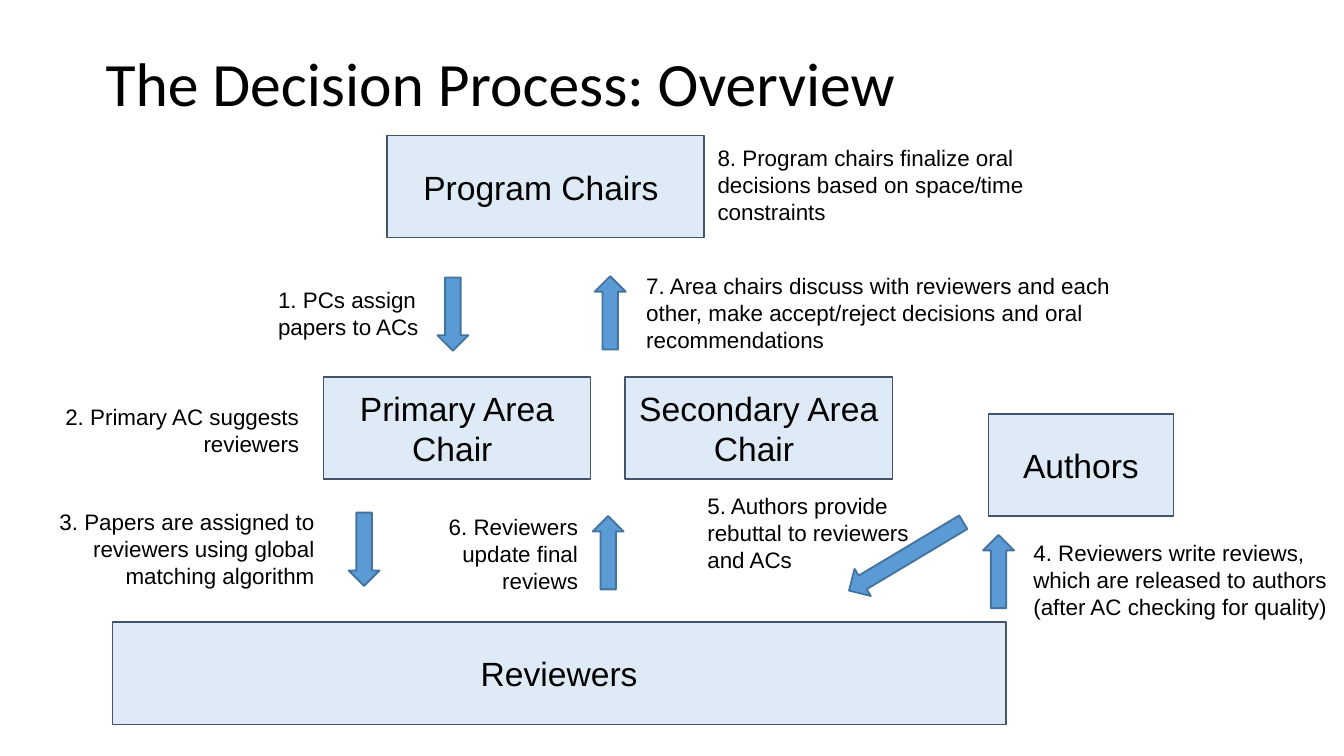
import dataclasses
import typing

import pptx
import pptx.dml.color
import pptx.enum.shapes
import pptx.enum.text
import pptx.util

PX = 4572

Kind = pptx.enum.shapes.MSO_SHAPE
Align = pptx.enum.text.PP_ALIGN
Anchor = pptx.enum.text.MSO_ANCHOR
Fit = pptx.enum.text.MSO_AUTO_SIZE


@dataclasses.dataclass(frozen=True)
class Theme:
    ink: str = "000000"
    pale: str = "DEEBF7"
    edge: str = "44546A"
    blue: str = "5B9BD5"
    rim: str = "43739E"
    head: str = "Calibri"
    body: str = "Arial"
    big: int = 33
    mid: int = 18
    small: int = 12


class Box(typing.NamedTuple):
    text: str
    x: int
    y: int
    w: int
    h: int = 152


class Note(typing.NamedTuple):
    text: str
    x: int
    y: int
    w: int
    h: int = 142
    align: Align = Align.LEFT


class Arrow(typing.NamedTuple):
    x: int
    y: int
    turn: float = 0
    w: int = 46
    h: int = 109


THEME = Theme()
UP = 180

BOXES = [
    Box("Reviewers", 167, 926, 1330),
    Box("Primary Area Chair ", 481, 561, 398),
    Box("Secondary Area Chair ", 930, 561, 398),
    Box("Program Chairs ", 576, 202, 472),
    Box("Authors", 1471, 616, 275),
]

ARROWS = [
    Arrow(651, 413),
    Arrow(519, 763),
    Arrow(1463, 796, UP),
    Arrow(882, 768, UP),
    Arrow(885, 411, UP),
    Arrow(1325, 729, 59.1, 47, 198),
]

NOTES = [
    Note("1. PCs assign papers to ACs", 394, 416, 258, 100),
    Note("2. Primary AC suggests reviewers", 27, 590, 438, 100, Align.RIGHT),
    Note("3. Papers are assigned to reviewers using global matching algorithm",
         -12, 746, 500, align=Align.RIGHT),
    Note("4. Reviewers write reviews, which are released to authors "
         "(after AC checking for quality)", 1518, 793, 482),
    Note("5. Authors provide rebuttal to reviewers and ACs", 1033, 723, 400),
    Note("6. Reviewers update final reviews", 626, 754, 254, align=Align.RIGHT),
    Note("7. Area chairs discuss with reviewers and each other, "
         "make accept/reject decisions and oral recommendations", 942, 395, 738),
    Note("8. Program chairs finalize oral decisions based on space/time "
         "constraints", 1048, 205, 618),
]


def px(*nums: int) -> list[pptx.util.Emu]:
    return [pptx.util.Emu(n * PX) for n in nums]


def tint(code: str) -> pptx.dml.color.RGBColor:
    return pptx.dml.color.RGBColor.from_string(code)


def write(shape, text: str, font: str, size: int, align: Align,
          anchor: Anchor, pad: int) -> None:
    frame = shape.text_frame
    frame.text = text
    frame.word_wrap = True
    frame.auto_size = Fit.NONE
    frame.vertical_anchor = anchor
    frame.margin_left, frame.margin_right = px(20, 20)
    frame.margin_top, frame.margin_bottom = px(pad, pad)
    for par in frame.paragraphs:
        par.alignment = align
        for run in par.runs:
            run.font.name = font
            run.font.size = pptx.util.Pt(size)
            run.font.color.rgb = tint(THEME.ink)


def paint(shape, fill: str, line: str, width: float) -> None:
    shape.shadow.inherit = False
    shape.fill.solid()
    shape.fill.fore_color.rgb = tint(fill)
    shape.line.color.rgb = tint(line)
    shape.line.width = pptx.util.Pt(width)


def draw_title(slide, text: str) -> None:
    title = slide.shapes.title
    title.left, title.top, title.width, title.height = px(137, 60, 1725, 217)
    write(title, text, THEME.head, THEME.big, Align.LEFT, Anchor.TOP, 20)
    title.text_frame.paragraphs[0].line_spacing = 0.9


def draw_box(slide, box: Box) -> None:
    shape = slide.shapes.add_shape(
        Kind.RECTANGLE, *px(box.x, box.y, box.w, box.h))
    paint(shape, THEME.pale, THEME.edge, 0.75)
    write(shape, box.text, THEME.body, THEME.mid,
          Align.CENTER, Anchor.MIDDLE, 20)


def draw_arrow(slide, arrow: Arrow) -> None:
    shape = slide.shapes.add_shape(
        Kind.DOWN_ARROW, *px(arrow.x, arrow.y, arrow.w, arrow.h))
    shape.rotation = arrow.turn
    paint(shape, THEME.blue, THEME.rim, 1)


def draw_note(slide, note: Note) -> None:
    shape = slide.shapes.add_textbox(*px(note.x, note.y, note.w, note.h))
    write(shape, note.text, THEME.body, THEME.small,
          note.align, Anchor.TOP, 10)
    shape.text_frame.auto_size = Fit.SHAPE_TO_FIT_TEXT


def main() -> None:
    deck = pptx.Presentation()
    deck.slide_width, deck.slide_height = px(2000, 1125)
    slide = deck.slides.add_slide(deck.slide_layouts.get_by_name("Title Only"))
    draw_title(slide, "The Decision Process: Overview")
    for box in BOXES:
        draw_box(slide, box)
    for arrow in ARROWS:
        draw_arrow(slide, arrow)
    for note in NOTES:
        draw_note(slide, note)
    deck.save("out.pptx")


if __name__ == "__main__":
    main()
